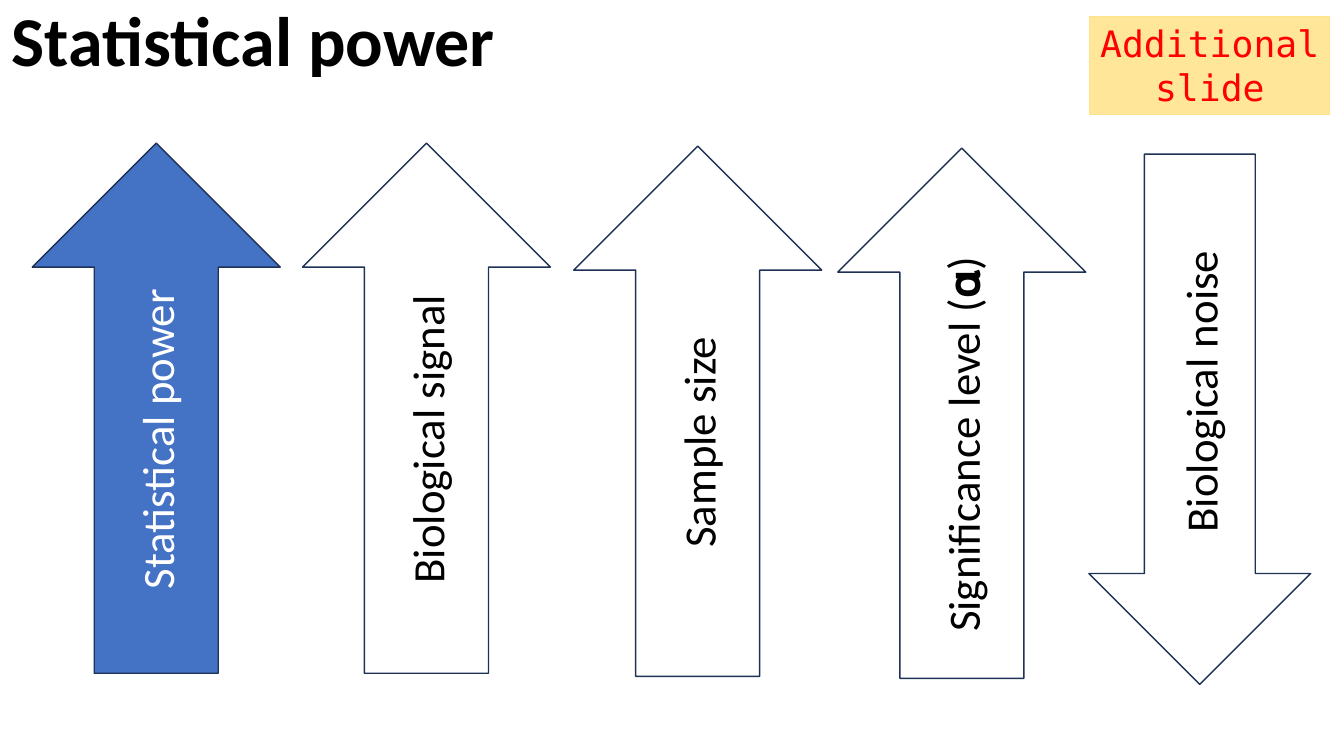
import pptx
import pptx.dml.color
import pptx.enum.shapes
import pptx.enum.text
import pptx.oxml.ns
import pptx.util

Inches = pptx.util.Inches
Pt = pptx.util.Pt
RGBColor = pptx.dml.color.RGBColor
SHAPE = pptx.enum.shapes.MSO_SHAPE
ALIGN = pptx.enum.text.PP_ALIGN
ANCHOR = pptx.enum.text.MSO_ANCHOR

BLACK = RGBColor(0x00, 0x00, 0x00)
WHITE = RGBColor(0xFF, 0xFF, 0xFF)
BLUE = RGBColor(0x44, 0x72, 0xC4)
NAVY = RGBColor(0x1E, 0x32, 0x56)
RED = RGBColor(0xFF, 0x00, 0x00)
SAND = RGBColor(0xFF, 0xE6, 0x99)
GOLD = RGBColor(0xFF, 0xE3, 0x8C)

UP, DOWN = SHAPE.UP_ARROW, SHAPE.DOWN_ARROW
HEIGHT = 5.26

# text, preset, left, top, width, fill, text colour
ARROWS = [
    ("Statistical power", UP, 0.32, 1.42, 2.46, BLUE, WHITE),
    ("Biological signal", UP, 3, 1.42, 2.46, WHITE, BLACK),
    ("Sample size", UP, 5.69, 1.45, 2.46, WHITE, BLACK),
    ("Significance level (𝛂)", UP, 8.31, 1.47, 2.46, WHITE, BLACK),
    ("Biological noise", DOWN, 10.8, 1.53, 2.2, None, BLACK),
]


def write(shape, text, color, size, align, anchor, name="Calibri", bold=False):
    frame = shape.text_frame
    frame.word_wrap = True
    frame.vertical_anchor = anchor
    par = frame.paragraphs[0]
    par.alignment = align
    run = par.add_run()
    run.text = text
    style = {"name": name, "size": Pt(size), "bold": bold}
    for key, value in style.items():
        setattr(run.font, key, value)
    run.font.color.rgb = color
    return par


def add_shape(slide, kind, box, fill, line, width):
    shape = slide.shapes.add_shape(kind, *map(Inches, box))
    shape.shadow.inherit = False
    if fill is None:
        shape.fill.background()
    else:
        shape.fill.solid()
        shape.fill.fore_color.rgb = fill
    shape.line.color.rgb = line
    shape.line.width = Pt(width)
    return shape


def add_title(slide):
    box = slide.shapes.add_textbox(*map(Inches, (0.02, 0.04, 13.33, 0.79)))
    par = write(box, "Statistical power", BLACK, 50, ALIGN.LEFT,
                ANCHOR.MIDDLE, bold=True)
    par.line_spacing = 0.9


def add_arrow(slide, text, kind, left, top, width, fill, color):
    """Add a block arrow whose label reads from bottom to top."""
    box = (left, top, width, HEIGHT)
    arrow = add_shape(slide, kind, box, fill, NAVY, 1)
    write(arrow, text, color, 32, ALIGN.CENTER, ANCHOR.MIDDLE)
    body = arrow.element.find(".//" + pptx.oxml.ns.qn("a:bodyPr"))
    body.set("vert", "vert270")


def add_tag(slide):
    box = (10.81, 0.16, 2.38, 0.98)
    tag = add_shape(slide, SHAPE.RECTANGLE, box, SAND, GOLD, 0.75)
    write(tag, "Additional slide", RED, 26, ALIGN.CENTER, ANCHOR.TOP,
          "DejaVu Sans Mono")
    tag.text_frame.auto_size = pptx.enum.text.MSO_AUTO_SIZE.SHAPE_TO_FIT_TEXT


def main():
    deck = pptx.Presentation()
    deck.slide_width = Inches(13.33)
    deck.slide_height = Inches(7.5)
    slide = deck.slides.add_slide(deck.slide_layouts[6])
    add_title(slide)
    for arrow in ARROWS:
        add_arrow(slide, *arrow)
    add_tag(slide)
    deck.save("out.pptx")


if __name__ == "__main__":
    main()
